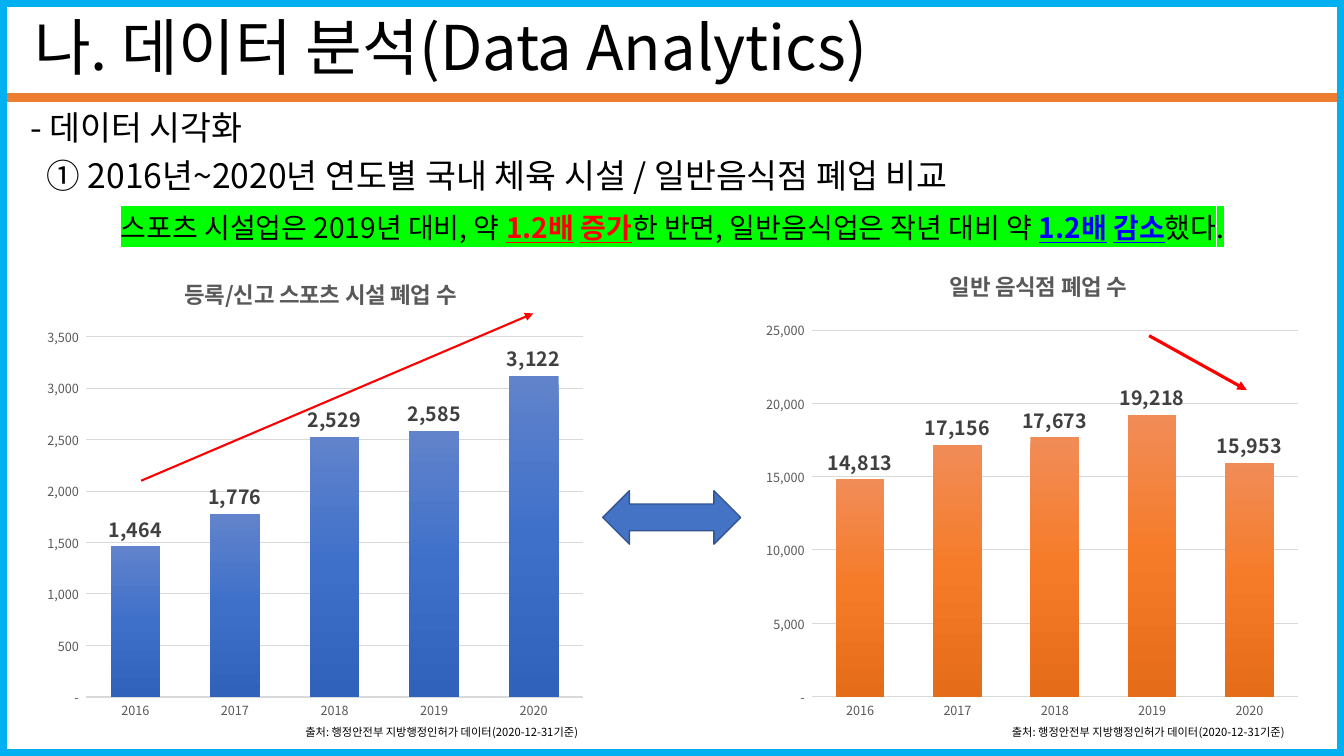
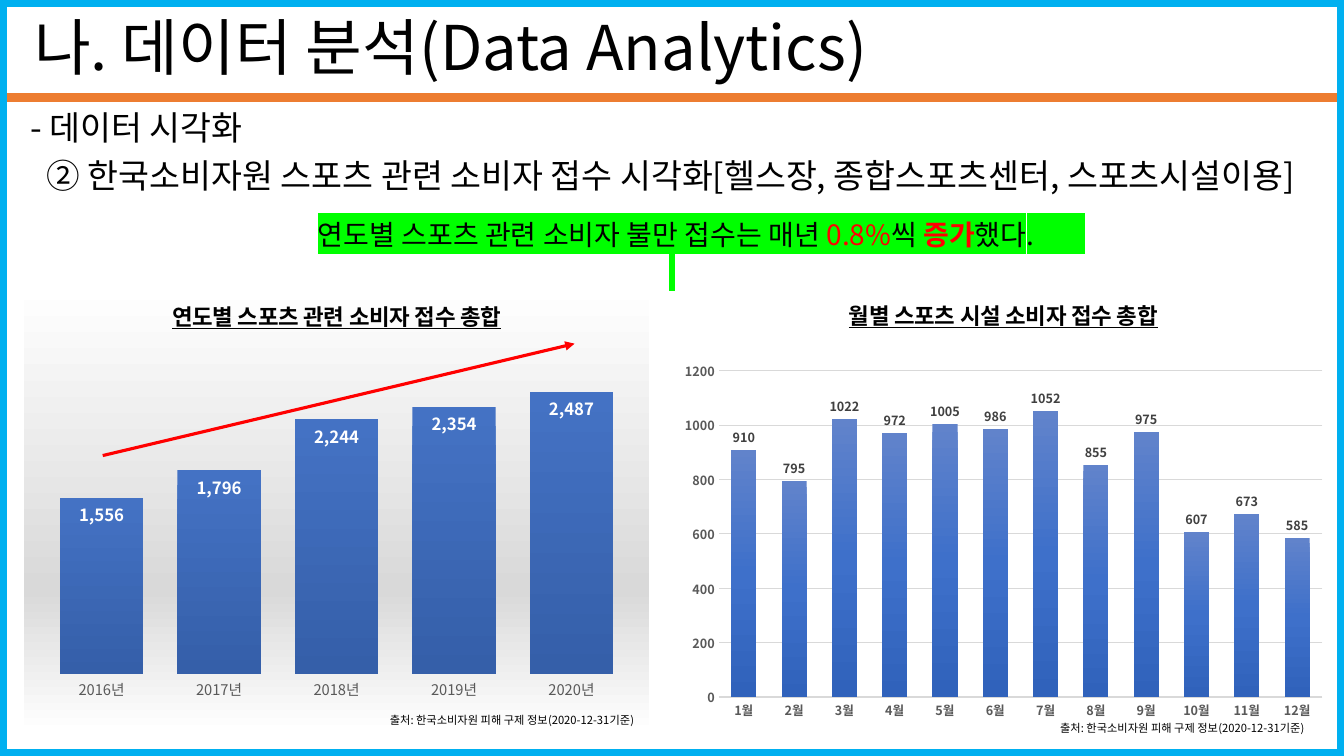
import pptx
import pptx.util
import pptx.chart.data
import pptx.dml.color
import pptx.enum.chart
import pptx.enum.shapes
import pptx.enum.text
import pptx.oxml
import pptx.oxml.ns

Pt = pptx.util.Pt
RGBColor = pptx.dml.color.RGBColor
qn = pptx.oxml.ns.qn

# Shared style
FONT = "Noto Sans CJK KR"
BLACK = RGBColor(0x00, 0x00, 0x00)
WHITE = RGBColor(0xFF, 0xFF, 0xFF)
RED = RGBColor(0xFF, 0x00, 0x00)
BLUE = RGBColor(0x00, 0x00, 0xFF)
GREEN = RGBColor(0x00, 0xFF, 0x00)
SKY = RGBColor(0x00, 0xB0, 0xF0)
ORANGE = RGBColor(0xED, 0x7D, 0x31)
ARROW_BLUE = RGBColor(0x44, 0x72, 0xC4)
ARROW_EDGE = RGBColor(0x32, 0x54, 0x91)
GRAY = RGBColor(0x59, 0x59, 0x59)
DARK_GRAY = RGBColor(0x40, 0x40, 0x40)
GRID_GRAY = RGBColor(0xD9, 0xD9, 0xD9)

BLUE_BARS = [(0, RGBColor(0x61, 0x83, 0xCB)), (50, RGBColor(0x3E, 0x70, 0xCA)),
             (100, RGBColor(0x30, 0x62, 0xBB))]
ORANGE_BARS = [(0, RGBColor(0xF1, 0x8C, 0x57)), (50, RGBColor(0xF6, 0x7B, 0x28)),
               (100, RGBColor(0xE5, 0x6C, 0x19))]
FLAT_BLUE_BARS = [(0, ARROW_BLUE), (100, RGBColor(0x35, 0x5F, 0xA9))]
SILVER = [(0, WHITE), (68, GRID_GRAY), (100, WHITE)]

WIDTH, HEIGHT = 960, 540
BODY_SPACING, HEADING_SPACING, FINDING_SPACING = 1.0, 0.9, 1.1
THOUSANDS = '_(* #,##0_);_(* \\(#,##0\\);_(* "-"_);_(@_)'
YEARS = ["2016", "2017", "2018", "2019", "2020"]
OUTSIDE = pptx.enum.chart.XL_LABEL_POSITION.OUTSIDE_END
INSIDE = pptx.enum.chart.XL_LABEL_POSITION.INSIDE_END


def xml(tag, body):
    """Parse one element in the drawing or chart namespace."""
    return pptx.oxml.parse_xml(
        f"<{tag} {pptx.oxml.ns.nsdecls('a', 'c')}>{body}</{tag.split()[0]}>")


def gradient(stops):
    body = "".join(f'<a:gs pos="{pos * 1000}"><a:srgbClr val="{color}"/></a:gs>'
                   for pos, color in stops)
    return xml("a:gradFill", f'<a:gsLst>{body}</a:gsLst><a:lin ang="5400000" scaled="0"/>')


def manual_layout(inner=False, **place):
    """Fractions of the chart: x, y and optionally w, h."""
    target = '<c:layoutTarget val="inner"/>' if inner else ""
    modes = '<c:xMode val="edge"/><c:yMode val="edge"/>'
    values = "".join(f'<c:{key} val="{value}"/>' for key, value in place.items())
    return xml("c:layout", f"<c:manualLayout>{target}{modes}{values}</c:manualLayout>")


def drop_layout(element):
    for layout in element.findall(qn("c:layout")):
        element.remove(layout)


class Deck:
    def __init__(self):
        self.prs = pptx.Presentation()
        self.prs.slide_width, self.prs.slide_height = Pt(WIDTH), Pt(HEIGHT)
        self.slide = None

    def new_slide(self, topic):
        """Add a slide with the frame, rule, title and headings."""
        self.slide = self.prs.slides.add_slide(self.prs.slide_layouts[6])
        self.shape(pptx.enum.shapes.MSO_SHAPE.RECTANGLE, (0, 0, WIDTH, HEIGHT), None, SKY, 10)
        self.line((5, 69.8), (955, 69.8), ORANGE, 6)
        self.heading("나. 데이터 분석(Data Analytics)", (17.3, 8.6, 932, 54.7), 44)
        self.heading("- 데이터 시각화", (14.4, 76.3, 474.5, 31.7), 24)
        self.heading(topic, (26.4, 110.2, 908, 31.7), 24)

    def font(self, font, size, color, bold=False, underline=False, highlight=None):
        font.size, font.bold, font.underline = Pt(size), bold, underline
        font.fill.solid()
        font.fill.fore_color.rgb = color
        font.name = FONT
        latin = font._rPr.find(qn("a:latin"))
        latin.addnext(xml(f'a:ea typeface="{FONT}"', ""))
        if highlight is not None:
            latin.addprevious(xml("a:highlight", f'<a:srgbClr val="{highlight}"/>'))

    def text(self, runs, box, size, spacing=BODY_SPACING, centered=False, highlight=None):
        """Each run is (text, color, bold, underline)."""
        frame = self.slide.shapes.add_textbox(*map(Pt, box)).text_frame
        frame.word_wrap = True
        paragraph = frame.paragraphs[0]
        paragraph.line_spacing = spacing
        if centered:
            paragraph.alignment = pptx.enum.text.PP_ALIGN.CENTER
        for words, color, bold, underline in runs:
            run = paragraph.add_run()
            run.text = words
            self.font(run.font, size, color, bold, underline, highlight)

    def heading(self, words, box, size):
        self.text([(words, BLACK, False, False)], box, size, HEADING_SPACING)

    def finding(self, runs, box):
        self.text(runs, box, 20, FINDING_SPACING, centered=True, highlight=GREEN)

    def source(self, words, left, top, width):
        self.text([(f"출처: {words}(2020-12-31기준)", BLACK, False, False)],
                  (left, top, width, 17.3), 8)

    def shape(self, kind, box, fill, edge, edge_width):
        shape = self.slide.shapes.add_shape(kind, *map(Pt, box))
        shape.shadow.inherit = False
        if fill is None:
            shape.fill.background()
        else:
            shape.fill.solid()
            shape.fill.fore_color.rgb = fill
        shape.line.color.rgb = edge
        shape.line.width = Pt(edge_width)

    def line(self, start, end, color, width, arrow=False):
        line = self.slide.shapes.add_connector(
            pptx.enum.shapes.MSO_CONNECTOR.STRAIGHT, *map(Pt, start + end))
        line.line.color.rgb = color
        line.line.width = Pt(width)
        if arrow:
            line.line._get_or_add_ln().append(xml('a:tailEnd type="triangle"', ""))
        line._element.spPr.append(xml("a:effectLst", ""))

    def trend(self, start, end, width=2.25):
        self.line(start, end, RED, width, arrow=True)

    def chart(self, box, title, categories, values, bars, plot_place, title_place,
              top, step, title_color=BLACK, underline=True, label_size=14,
              label_color=DARK_GRAY, label_position=OUTSIDE, number_format=THOUSANDS,
              axis_size=9, axis_bold=False, gap=100, overlap=-24, scale=True, backdrop=None):
        data = pptx.chart.data.CategoryChartData(number_format="General")
        data.categories = categories
        data.add_series("Series 1", values)
        chart = self.slide.shapes.add_chart(
            pptx.enum.chart.XL_CHART_TYPE.COLUMN_CLUSTERED, *map(Pt, box), data).chart
        chart.has_legend = False
        self.font(chart.font, 10, BLACK, axis_bold)

        # Title
        chart.has_title = True
        run = chart.chart_title.text_frame.paragraphs[0].add_run()
        run.text = title
        self.font(run.font, 16, title_color, True, underline)
        title_xml = chart.chart_title._element
        drop_layout(title_xml)
        title_xml.find(qn("c:tx")).addnext(manual_layout(x=title_place[0], y=title_place[1]))

        # Axes
        for axis in (chart.category_axis, chart.value_axis):
            axis.major_tick_mark = pptx.enum.chart.XL_TICK_MARK.NONE
            axis.minor_tick_mark = pptx.enum.chart.XL_TICK_MARK.NONE
            self.font(axis.tick_labels.font, axis_size, GRAY, axis_bold)
            axis.format.line.fill.background()
        value_axis = chart.value_axis
        value_axis.minimum_scale, value_axis.maximum_scale = 0, top
        value_axis.major_unit = step
        value_axis.tick_labels.number_format = number_format
        value_axis.tick_labels.number_format_is_linked = False
        value_axis.has_major_gridlines = value_axis.visible = scale
        if scale:
            for line, width in ((chart.category_axis.format.line, 1),
                                (value_axis.major_gridlines.format.line, 0.75)):
                line.color.rgb = GRID_GRAY
                line.width = Pt(width)

        # Bars and labels
        plot = chart.plots[0]
        plot.gap_width, plot.overlap = gap, overlap
        plot.vary_by_categories = False
        series = plot.series[0]
        series.invert_if_negative = False
        series._element.get_or_add_spPr().append(gradient(bars))
        labels = series.data_labels
        labels.show_value = True
        labels.position = label_position
        labels.number_format = "General" if number_format == "General" else "#,##0"
        labels.number_format_is_linked = False
        self.font(labels.font, label_size, label_color, True)

        # Plot place and backdrop
        chart_xml = chart._chartSpace.find(qn("c:chart"))
        area = chart_xml.find(qn("c:plotArea"))
        drop_layout(area)
        area.insert(0, manual_layout(inner=True, **dict(zip("xywh", plot_place))))
        if backdrop:
            properties = xml("c:spPr", "<a:ln><a:noFill/></a:ln>")
            properties.insert(0, gradient(backdrop))
            chart_xml.addnext(properties)


def closures(deck):
    deck.new_slide("① 2016년~2020년 연도별 국내 체육 시설 / 일반음식점 폐업 비교")
    deck.shape(pptx.enum.shapes.MSO_SHAPE.LEFT_RIGHT_ARROW, (430.5, 350.5, 98.6, 38.2),
               ARROW_BLUE, ARROW_EDGE, 1)
    deck.chart((25.2, 187.2, 399.6, 334), "등록/신고 스포츠 시설 폐업 수", YEARS,
               [1464, 1776, 2529, 2585, 3122], BLUE_BARS, (0.09, 0.16, 0.89, 0.77),
               (0.26, 0.02), 3500, 500, title_color=GRAY, underline=False)
    deck.chart((535.7, 181.4, 399.6, 340), "일반 음식점 폐업 수", YEARS,
               [14813, 17156, 17673, 19218, 15953], ORANGE_BARS, (0.11, 0.16, 0.87, 0.77),
               (0.35, 0.02), 25000, 5000, title_color=GRAY, underline=False)
    deck.finding([
        ("스포츠 시설업은 2019년 대비, 약 ", BLACK, False, False),
        ("1.2배", RED, True, True), (" ", RED, True, False), ("증가", RED, True, True),
        ("한 반면, 일반음식업은 작년 대비 약 ", BLACK, False, False),
        ("1.2배", BLUE, True, True), (" ", BLUE, True, False), ("감소", BLUE, True, True),
        ("했다.", BLACK, False, False)], (59.8, 144.5, 841, 31.7))
    for left in (211, 715.7):
        deck.source("행정안전부 지방행정인허가 데이터", left, 514.8, 210.2)
    deck.trend((100.8, 343.4), (380.9, 223.9), 1.5)
    deck.trend((820.8, 239.8), (890.6, 278.6))


def complaints(deck):
    deck.new_slide("② 한국소비자원 스포츠 관련 소비자 접수 시각화"
                   "[헬스장, 종합스포츠센터, 스포츠시설이용]")
    deck.chart((480.2, 208.8, 473.8, 311), "월별 스포츠 시설 소비자 접수 총합",
               [f"{month}월" for month in range(1, 13)],
               [910, 795, 1022, 972, 1005, 986, 1052, 855, 975, 607, 673, 585],
               BLUE_BARS, (0.07, 0.18, 0.91, 0.75), (0.26, 0), 1200, 200,
               label_size=9, number_format="General", axis_bold=True)
    deck.chart((17.3, 203, 446.4, 320.4), "연도별 스포츠 관련 소비자 접수 총합",
               [f"{year}년" for year in YEARS], [1556, 1796, 2244, 2354, 2487],
               FLAT_BLUE_BARS, (0.03, 0.11, 0.94, 0.76), (0.23, 0.02), 3000, 500,
               label_size=12, label_color=WHITE, label_position=INSIDE, axis_size=10.5,
               gap=41, overlap=0, scale=False, backdrop=SILVER)
    deck.finding([
        ("연도별 스포츠 관련 소비자 불만 접수는 매년 ", BLACK, False, False),
        ("0.8%", RED, False, False), ("씩 ", BLACK, False, False),
        ("증가", RED, True, False), ("했다. ", BLACK, False, False)],
        (217.4, 149.5, 525.6, 31.7))
    deck.trend((73.4, 325.4), (410.4, 245.5))
    for left, top in ((271.4, 506.2), (750.2, 511.9)):
        deck.source("한국소비자원 피해 구제 정보", left, top, 192.2)


def main():
    deck = Deck()
    closures(deck)
    complaints(deck)
    deck.prs.save("out.pptx")


if __name__ == "__main__":
    main()
